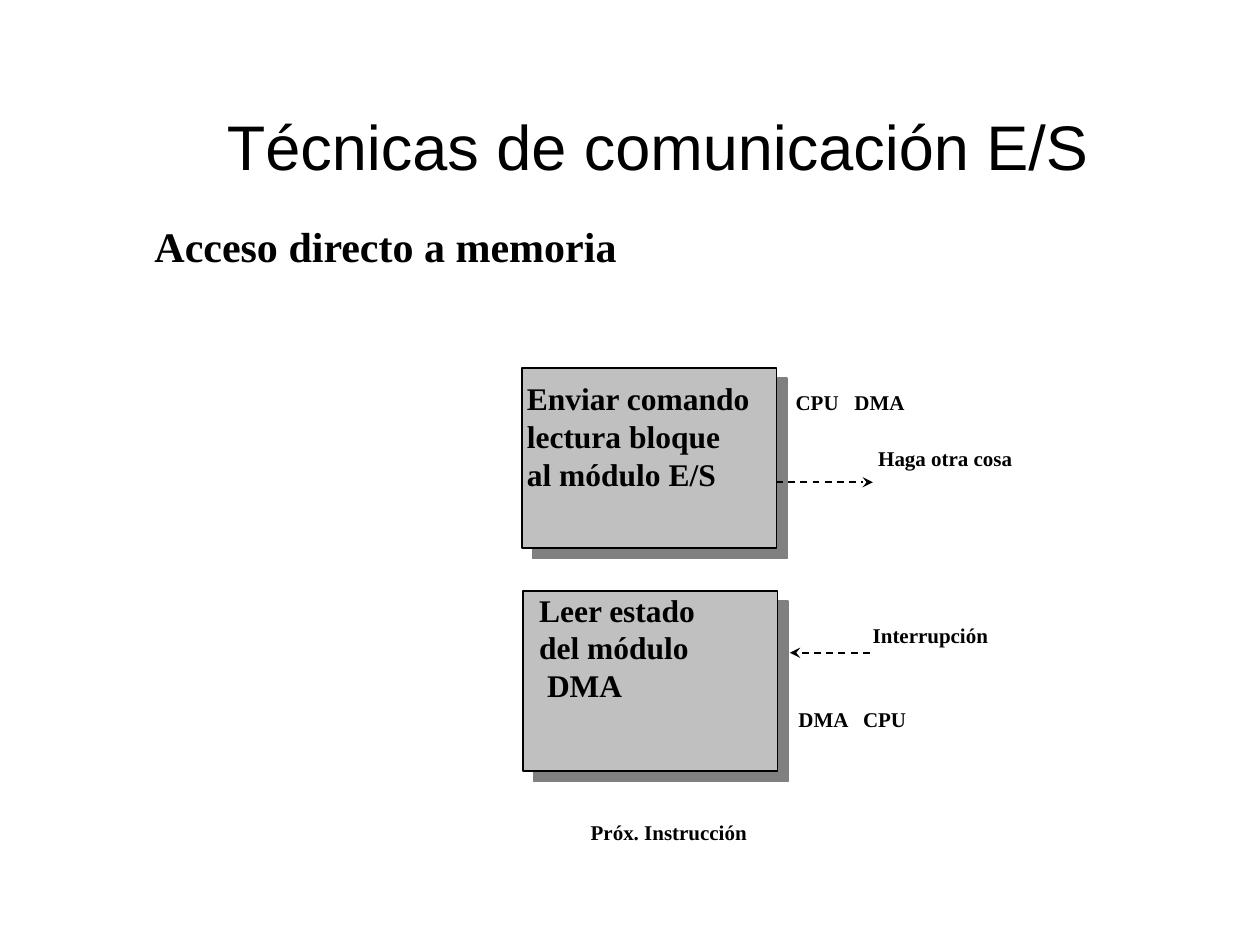
from lxml import etree
from pptx import Presentation
from pptx.dml.color import RGBColor
from pptx.enum.dml import MSO_LINE
from pptx.enum.shapes import MSO_CONNECTOR, MSO_SHAPE
from pptx.enum.text import MSO_ANCHOR, MSO_AUTO_SIZE, PP_ALIGN
from pptx.oxml.ns import qn
from pptx.util import Pt

BLACK = RGBColor(0x00, 0x00, 0x00)
SILVER = RGBColor(0xC0, 0xC0, 0xC0)
GRAY = RGBColor(0x80, 0x80, 0x80)
RECTANGLE = MSO_SHAPE.RECTANGLE
STRAIGHT = MSO_CONNECTOR.STRAIGHT
DASH = MSO_LINE.DASH
CENTER = PP_ALIGN.CENTER
BOTTOM = MSO_ANCHOR.BOTTOM
GROW = MSO_AUTO_SIZE.SHAPE_TO_FIT_TEXT
NO_FIT = MSO_AUTO_SIZE.NONE

TITLE_FONT = {"name": "Arial", "size": Pt(36), "bold": False}
HEADING_FONT = {"name": "Times New Roman", "size": Pt(24), "bold": True}
STEP_FONT = {**HEADING_FONT, "size": Pt(18)}
LABEL_FONT = {**HEADING_FONT, "size": Pt(12)}

STEP_SIZE = (145.5, 103)
STEP_CORNERS = [(298.8, 337.6), (298.2, 210.2)]
LABELS = [
    ("Próx. Instrucción", 330.5, 465, 103.7, None),
    ("CPU\tDMA", 447.6, 219.2, 77, 33.6),
    ("Interrupción", 491.6, 352, 80.6, None),
    ("DMA\tCPU", 449.2, 400, 77, 36.9),
    ("Haga otra cosa", 494.8, 250.8, 91.4, None),
]
ARROWS = [(443.5, 498.8, 275.6), (497, 451.4, 373)]


def format_font(font, values):
    for name, value in values.items():
        setattr(font, name, value)
    font.color.rgb = BLACK


def add_title(page, text):
    title = page.shapes.title
    for name, value in {"left": 31.5, "top": 18, "width": 688.5, "height": 90}.items():
        setattr(title, name, Pt(value))
    frame = title.text_frame
    frame.text = text
    frame.vertical_anchor = BOTTOM
    frame.auto_size = NO_FIT
    para = frame.paragraphs[0]
    para.alignment = CENTER
    format_font(para.runs[0].font, TITLE_FONT)


def add_text(page, lines, left, top, width, height, font):
    box = page.shapes.add_textbox(Pt(left), Pt(top), Pt(width), Pt(height))
    frame = box.text_frame
    frame.word_wrap = False
    frame.auto_size = GROW
    for index, line in enumerate(lines):
        para = frame.add_paragraph() if index else frame.paragraphs[0]
        span = para.add_run()
        span.text = line
        format_font(span.font, font)
    return frame.paragraphs


def indent(para, distance):
    para._p.get_or_add_pPr().set("marL", str(Pt(distance)))


def add_tab_stop(para, position):
    stops = etree.SubElement(para._p.get_or_add_pPr(), qn("a:tabLst"))
    etree.SubElement(stops, qn("a:tab"), pos=str(Pt(position)), algn="l")


def add_step_box(page, left, top):
    width, height = STEP_SIZE
    box = page.shapes.add_shape(RECTANGLE, Pt(left), Pt(top), Pt(width), Pt(height))
    box.fill.solid()
    box.fill.fore_color.rgb = SILVER
    box.line.color.rgb = BLACK
    box.line.width = Pt(1)
    effects = etree.SubElement(box._element.spPr, qn("a:effectLst"))
    shadow = etree.SubElement(
        effects, qn("a:outerShdw"), dist=str(Pt(8.5)), dir="2700000",
        algn="ctr", rotWithShape="0",
    )
    etree.SubElement(shadow, qn("a:srgbClr"), val=str(GRAY))


def add_arrow(page, start, end, height):
    arrow = page.shapes.add_connector(STRAIGHT, Pt(start), Pt(height), Pt(end), Pt(height))
    arrow.line.color.rgb = BLACK
    arrow.line.width = Pt(1)
    arrow.line.dash_style = DASH
    etree.SubElement(arrow.line._get_or_add_ln(), qn("a:tailEnd"), type="stealth")
    etree.SubElement(arrow._element.spPr, qn("a:effectLst"))


def main():
    deck = Presentation()
    deck.slide_width, deck.slide_height = Pt(720), Pt(540)
    page = deck.slides.add_slide(deck.slide_layouts[5])
    add_title(page, "Técnicas de comunicación E/S")
    for corner in STEP_CORNERS:
        add_step_box(page, *corner)
    for text, left, top, width, tab in LABELS:
        paras = add_text(page, [text], left, top, width, 21.8, LABEL_FONT)
        if tab:
            add_tab_stop(paras[0], tab)
    add_text(page, ["Enviar comando", "lectura bloque", "al módulo E/S"],
             294, 213.2, 141.8, 72, STEP_FONT)
    paras = add_text(page, ["Leer estado", "del módulo", "DMA"],
                     301, 334, 103.7, 72, STEP_FONT)
    indent(paras[-1], 4.5)
    for arrow in ARROWS:
        add_arrow(page, *arrow)
    add_text(page, ["Acceso directo a memoria"], 81.2, 122.4, 278.6, 36, HEADING_FONT)
    deck.save("out.pptx")


if __name__ == "__main__":
    main()
